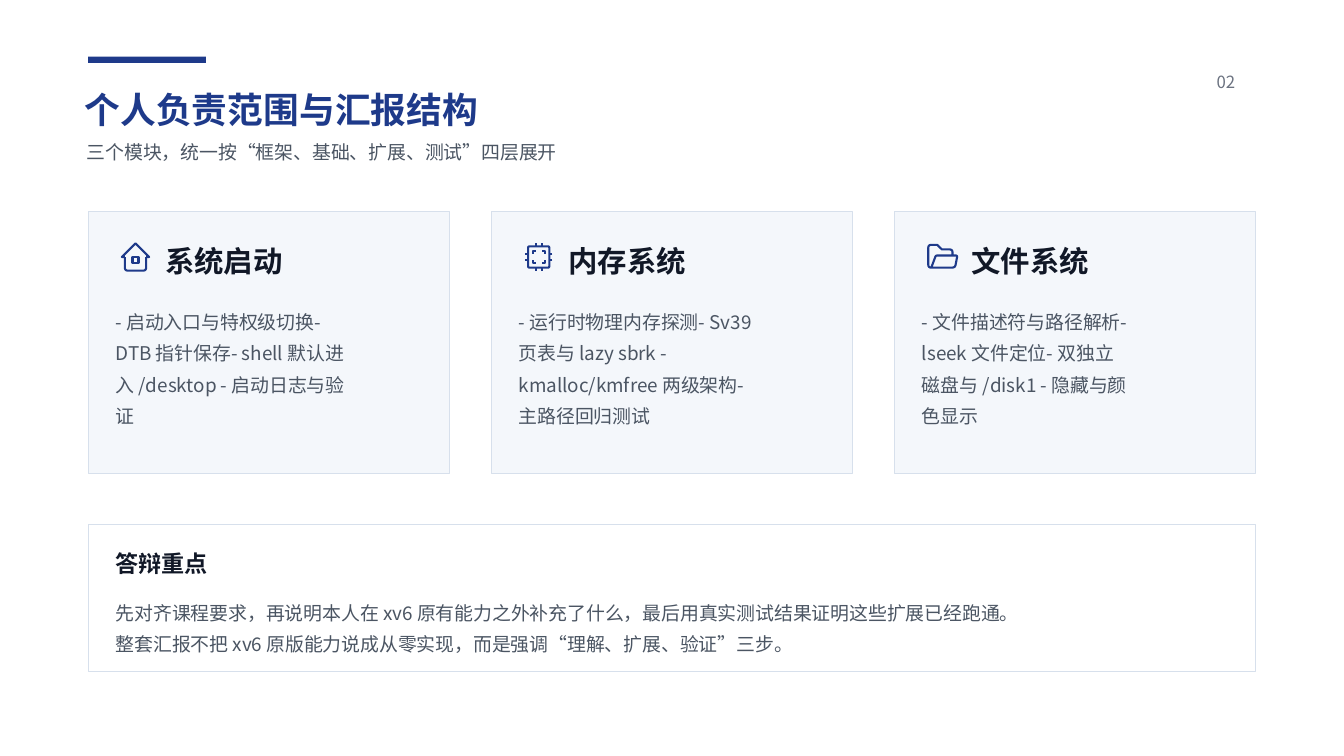
from math import dist

from lxml import etree
from pptx import Presentation
from pptx.dml.color import RGBColor
from pptx.enum.shapes import MSO_CONNECTOR, MSO_SHAPE
from pptx.enum.text import MSO_AUTO_SIZE
from pptx.oxml.ns import qn
from pptx.util import Pt

COLORS = {
    "navy": "1E3A8A", "ink": "111827", "body": "4B5563", "muted": "6B7280",
    "panel": "F4F7FB", "border": "D7E0EC", "white": "FFFFFF",
}
FONT = "Noto Sans CJK SC"
LEFT, CONTENT_W = 63, 834
CARD_Y, CARD_W, CARD_H, CARD_PITCH = 151.2, 258, 187.2, 288
PADDING = 19.6
ICON_UNIT = 26 / 24  # icons are designed on a 24-unit grid

# Icon outlines: each stroke is a list of contours; a third value is a corner radius.
HOUSE = [
    [[(5, 12), (3, 12), (12, 3), (21, 12), (19, 12)]],
    [[(5, 12), (5, 21, 2), (19, 21, 2), (19, 12)]],
    [[(10, 12), (14, 12), (14, 16), (10, 16), (10, 12)]],
]
CHIP = [
    [[(12, 5), (19, 5, 1), (19, 19, 1), (5, 19, 1), (5, 5, 1), (12, 5)]],
    [[(x, y + dy), (x, y), (x + dx, y)]
     for x, dx in ((8, 2), (16, -2)) for y, dy in ((8, 2), (16, -2))],
]
for pin in (10, 14):
    for outer, inner in ((3, 5), (21, 19)):
        CHIP += [[[(outer, pin), (inner, pin)]], [[(pin, outer), (pin, inner)]]]
FOLDER = [[[
    (5, 19), (8, 11, 1), (22.2, 11, 1.2), (20.7, 19, 2), (3, 19, 2), (3, 4, 2),
    (9, 4), (12, 7), (19, 7, 2), (19, 11),
]]]

CARDS = [
    ("系统启动", HOUSE, 166.3,
     "- 启动入口与特权级切换- DTB 指针保存- shell 默认进入 /desktop - 启动日志与验证"),
    ("内存系统", CHIP, 175,
     "- 运行时物理内存探测- Sv39 页表与 lazy sbrk - kmalloc/kmfree 两级架构- 主路径回归测试"),
    ("文件系统", FOLDER, 149,
     "- 文件描述符与路径解析- lseek 文件定位- 双独立磁盘与 /disk1 - 隐藏与颜色显示"),
]


def rounded(contour, steps=6):
    """Return the contour's points with its radius corners sampled as curves."""
    points = []
    for i, (x, y, *radius) in enumerate(contour):
        if not radius:
            points.append((x, y))
            continue
        ends = []
        for near in (contour[i - 1][:2], contour[i + 1][:2]):
            t = radius[0] / dist((x, y), near)
            ends.append((x + t * (near[0] - x), y + t * (near[1] - y)))
        for k in range(steps + 1):
            t = k / steps
            a, b, c = (1 - t) ** 2, 2 * t * (1 - t), t ** 2
            points.append(tuple(a * p + b * q + c * r
                                for p, q, r in zip(ends[0], (x, y), ends[1])))
    return points


class Deck:
    """Holds the style and the current slide."""

    def __init__(self):
        """Start a presentation with one blank slide."""
        self.prs = Presentation()
        self.prs.slide_width, self.prs.slide_height = Pt(960), Pt(540)
        self.slide = self.prs.slides.add_slide(self.prs.slide_layouts[6])
        self.shapes = self.slide.shapes
        self.slide.background.fill.solid()
        self.slide.background.fill.fore_color.rgb = self.color("white")

    def color(self, name):
        """Look up a named colour."""
        return RGBColor.from_string(COLORS[name])

    def outline(self, shape, color, width):
        """Give a shape or connector a solid line."""
        shape.line.color.rgb = self.color(color)
        shape.line.width = Pt(width)

    def box(self, x, y, w, h, fill, border=None):
        """Add a filled rectangle, with a thin border if wanted."""
        shape = self.shapes.add_shape(MSO_SHAPE.RECTANGLE, Pt(x), Pt(y), Pt(w), Pt(h))
        shape.shadow.inherit = False
        shape.fill.solid()
        shape.fill.fore_color.rgb = self.color(fill)
        if border:
            self.outline(shape, border, 0.75)
        else:
            shape.line.fill.background()

    def text(self, x, y, w, h, words, size, color, bold=False, leading=None):
        """Add text; a leading makes it a wrapped paragraph, otherwise one line."""
        frame = self.shapes.add_textbox(Pt(x), Pt(y), Pt(w), Pt(h)).text_frame
        frame.margin_left = frame.margin_right = frame.margin_top = frame.margin_bottom = 0
        frame.word_wrap = leading is not None
        frame.auto_size = MSO_AUTO_SIZE.NONE if leading else MSO_AUTO_SIZE.SHAPE_TO_FIT_TEXT
        paragraph = frame.paragraphs[0]
        if leading:
            paragraph.line_spacing = Pt(leading)
        run = paragraph.add_run()
        run.text = words
        run.font.name, run.font.size, run.font.bold = FONT, Pt(size), bold
        run.font.color.rgb = self.color(color)
        etree.SubElement(run.font._element, qn("a:ea")).set("typeface", FONT)

    def body(self, x, y, w, h, words):
        """Add a wrapped body paragraph."""
        self.text(x, y, w, h, words, 13.5, "body", leading=22.5)

    def stroke(self, contours):
        """Draw one icon stroke, a connector when it is a single segment."""
        if len(contours) == 1 and len(contours[0]) == 2:
            start, end = contours[0]
            shape = self.shapes.add_connector(MSO_CONNECTOR.STRAIGHT, *start, *end)
            etree.SubElement(shape._element.spPr, qn("a:effectLst"))
        else:
            builder = self.shapes.build_freeform(*contours[0][0], scale=1.0)
            builder.add_line_segments(contours[0][1:], close=False)
            for contour in contours[1:]:
                builder.move_to(*contour[0])
                builder.add_line_segments(contour[1:], close=False)
            shape = builder.convert_to_shape()
            shape.shadow.inherit = False
            shape.fill.background()
        self.outline(shape, "navy", 1.5)

    def icon(self, x, y, strokes):
        """Draw an icon with its grid origin at x, y."""
        for contours in strokes:
            self.stroke([[(Pt(x + px * ICON_UNIT), Pt(y + py * ICON_UNIT))
                          for px, py in rounded(contour)] for contour in contours])

    def card(self, x, title, icon, text_width, words):
        """Add a module card with icon, title and body."""
        self.box(x, CARD_Y, CARD_W, CARD_H, "panel", "border")
        self.icon(x + 20.8, CARD_Y + 19.4, icon)
        self.text(x + 55, 173.5, 96.5, 33.8, title, 21, "ink", bold=True)
        self.body(x + PADDING, 215.3, text_width, 89.3, words)


def main():
    """Build and save the slide."""
    deck = Deck()
    deck.box(LEFT, 40.5, 84, 4.5, "navy")
    deck.text(60.5, 62.6, 314.6, 41, "个人负责范围与汇报结构", 25.5, "navy", bold=True)
    deck.text(62, 100.8, 344, 21.6, "三个模块，统一按“框架、基础、扩展、测试”四层展开", 13.5, "body")
    deck.text(869, 51.1, 16.6, 19.4, "02", 12, "muted")
    for i, card in enumerate(CARDS):
        deck.card(LEFT + i * CARD_PITCH, *card)
    deck.box(LEFT, 375, CONTENT_W, 105, "white", "border")
    deck.text(LEFT + PADDING, 392.4, 76.3, 26.6, "答辩重点", 16.5, "ink", bold=True)
    deck.body(LEFT + PADDING, 423.4, 653.8, 44,
              "先对齐课程要求，再说明本人在 xv6 原有能力之外补充了什么，最后用真实测试结果证明这些扩展已经跑通。"
              "整套汇报不把 xv6 原版能力说成从零实现，而是强调“理解、扩展、验证”三步。")
    deck.prs.save("out.pptx")


main()
